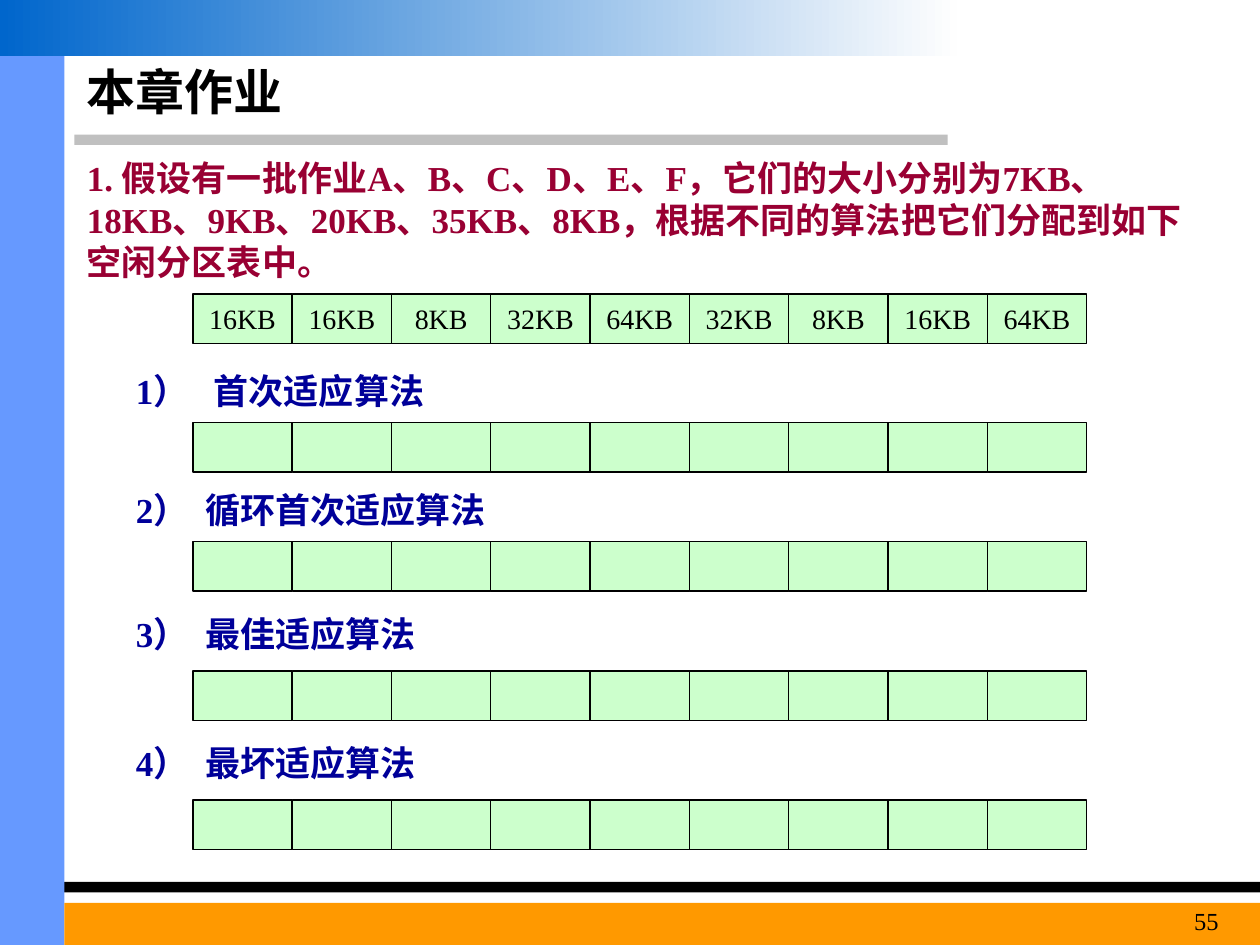
from pptx import Presentation
from pptx.dml.color import RGBColor
from pptx.enum import shapes, text
from pptx.util import Pt

SERIF = "Times New Roman"
RECT = shapes.MSO_SHAPE.RECTANGLE
LEFT, MID, RIGHT = text.PP_ALIGN.LEFT, text.PP_ALIGN.CENTER, text.PP_ALIGN.RIGHT


def tint(code):
    return RGBColor.from_string(code)


def write(shape, words, align=LEFT, wrap=True, anchor=text.MSO_ANCHOR.TOP,
          color="000000", **form):
    frame = shape.text_frame
    frame.word_wrap = wrap
    frame.vertical_anchor = anchor
    frame.margin_left = frame.margin_right = Pt(7.2)
    frame.margin_top = frame.margin_bottom = Pt(3.6)
    para = frame.paragraphs[0]
    para.alignment = align
    run = para.add_run()
    run.text = words
    for name, value in form.items():
        setattr(run.font, name, value)
    run.font.color.rgb = tint(color)
    return para


def block(parent, box, fill, line=None):
    shape = parent.add_shape(RECT, *map(Pt, box))
    shape.shadow.inherit = False
    shape.fill.solid()
    shape.fill.fore_color.rgb = tint(fill)
    if line:
        shape.line.color.rgb = tint(line)
        shape.line.width = Pt(0.75)
    else:
        shape.line.fill.background()
    return shape


def label(slide, box, words, **form):
    return write(slide.shapes.add_textbox(*map(Pt, box)), words, **form)


def frame(slide, wide, high):
    """Coloured bars around the edge of the slide."""
    side, top = 36.8, 31.8
    block(slide.shapes, (42.5, 77, 499, 5.8), "C0C0C0")
    block(slide.shapes, (0, 504, wide, 6), "000000")
    block(slide.shapes, (0, top, side, high - top), "6699FF")
    block(slide.shapes, (side, 516, wide - side, high - 516), "FF9900")
    band = block(slide.shapes, (0, 0, 547, top), "0066CC")
    band.fill.gradient()
    band.fill.gradient_angle = 180
    for stop, code in zip(band.fill.gradient_stops, ("FEFEFE", "0066CC")):
        stop.color.rgb = tint(code)


def heading(slide, box, words):
    title = slide.shapes.title
    title.left, title.top, title.width, title.height = map(Pt, box)
    write(title, words, anchor=text.MSO_ANCHOR.MIDDLE,
          name="Arial", size=Pt(28), bold=True)


def cells(slide, box, sizes):
    """A row of equal memory partitions; empty sizes stay blank."""
    left, top, wide, high = box
    step = wide / len(sizes)
    group = slide.shapes.add_group_shape()
    for i, size in enumerate(sizes):
        cell = block(group.shapes, (left + i * step, top, step, high),
                     "CCFFCC", "000000")
        if size:
            write(cell, size, align=MID, wrap=False,
                  anchor=text.MSO_ANCHOR.MIDDLE, name=SERIF, size=Pt(16))


def task(slide, top, row, number, words, stop):
    """An algorithm's label with its blank row of partitions."""
    para = label(slide, (70.6, top, 425.5, 31.5), f"{number}）\t{words}",
                 name=SERIF, size=Pt(20), bold=True, color="000099")
    props = para._p.get_or_add_pPr()
    tabs = props.makeelement(props.tag.replace("pPr", "tabLst"), {})
    tab = props.makeelement(props.tag.replace("pPr", "tab"),
                            {"pos": str(Pt(stop)), "algn": "l"})
    tabs.append(tab)
    props.append(tabs)
    cells(slide, (110.25, row, 510.75, 28.2), [""] * 9)


def main():
    deck = Presentation()
    wide, high = 720, 540
    deck.slide_width, deck.slide_height = Pt(wide), Pt(high)
    slide = deck.slides.add_slide(deck.slide_layouts[5])

    frame(slide, wide, high)
    heading(slide, (42.5, 31.8, 493, 39.8), "本章作业")

    # Question and free partition table
    label(slide, (42.5, 85.8, 658, 79),
          "1. 假设有一批作业A、B、C、D、E、F，它们的大小分别为"
          "7KB、18KB、9KB、20KB、35KB、8KB，"
          "根据不同的算法把它们分配到如下空闲分区表中。",
          name=SERIF, size=Pt(20), bold=True, color="990033")
    sizes = (16, 16, 8, 32, 64, 32, 8, 16, 64)
    cells(slide, (110.25, 168, 510.75, 28.2), [f"{n}KB" for n in sizes])

    # Algorithms to apply
    tasks = [(207.5, 241.6, "首次适应算法", 44.5),
             (275.8, 309.6, "循环首次适应算法", 39.5),
             (346.3, 383.4, "最佳适应算法", 39.5),
             (420.2, 457.2, "最坏适应算法", 39.5)]
    for number, (top, row, words, stop) in enumerate(tasks, 1):
        task(slide, top, row, number, words, stop)

    # Page number
    label(slide, (638, 514, 65.5, 26), "55", align=RIGHT,
          name=SERIF, size=Pt(14))
    deck.save("out.pptx")


if __name__ == "__main__":
    main()
